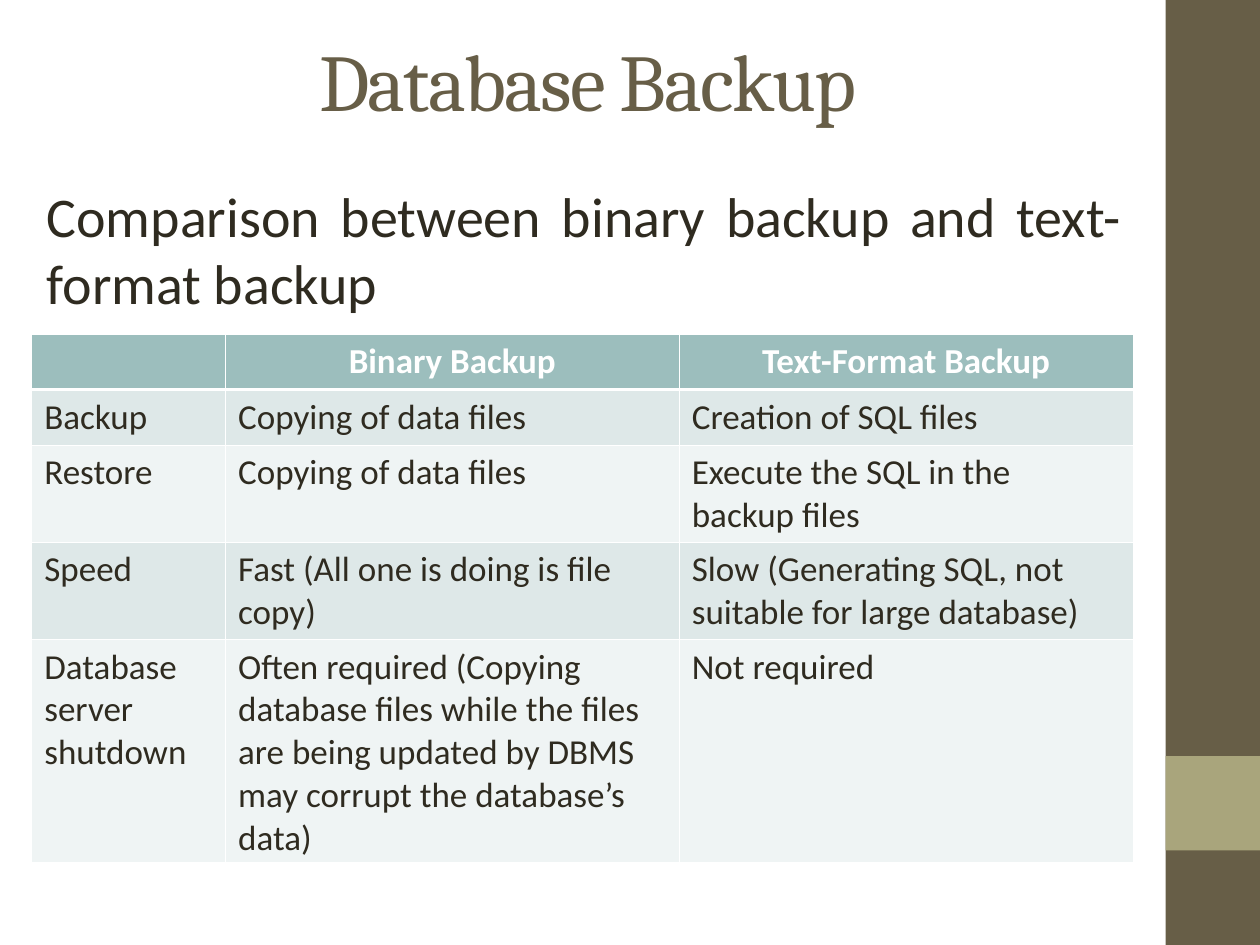
from dataclasses import dataclass

from lxml.etree import SubElement
from pptx import Presentation
from pptx.dml.color import RGBColor
from pptx.enum.shapes import MSO_SHAPE as SHAPE
from pptx.enum.text import MSO_ANCHOR as ANCHOR, PP_ALIGN as ALIGN
from pptx.oxml.ns import qn
from pptx.util import Cm, Pt


@dataclass(frozen=True)
class Theme:
    brown: str = "675E47"
    olive: str = "A9A57C"
    ink: str = "2F2B20"
    white: str = "FFFFFF"
    header: str = "9CBEBD"
    bands: tuple = ("DEE8E8", "EFF4F4")
    heading_font: str = "Cambria"
    body_font: str = "Calibri"
    title_size: int = 46
    lead_size: int = 32
    table_size: int = 20
    rule: float = 0.45
    header_rule: float = 1.47


T = Theme()
ROWS = [
    ("", "Binary Backup", "Text-Format Backup"),
    ("Backup", "Copying of data files", "Creation of SQL files"),
    ("Restore", "Copying of data files", "Execute the SQL in the backup files"),
    ("Speed", "Fast (All one is doing is file copy)",
     "Slow (Generating SQL, not suitable for large database)"),
    ("Database server shutdown",
     "Often required (Copying database files while the files are being "
     "updated by DBMS may corrupt the database’s data)",
     "Not required"),
]
COL_SHARES = (0.176, 0.412, 0.412)
ROW_HEIGHTS = (1.12, 1.12, 1.96, 1.96, 4.5)


def write(tf, text, *, size, color, font=T.body_font, bold=False,
          align=ALIGN.LEFT, spacing=None):
    tf.word_wrap = True
    p = tf.paragraphs[0]
    p.alignment = align
    r = p.add_run()
    r.text = text
    r.font.name, r.font.size, r.font.bold = font, Pt(size), bold
    r.font.color.rgb = RGBColor.from_string(color)
    if spacing is not None:
        r._r.get_or_add_rPr().set("spc", str(spacing))


def add_block(slide, x, y, w, h, color):
    sp = slide.shapes.add_shape(SHAPE.RECTANGLE, Cm(x), Cm(y), Cm(w), Cm(h))
    sp.shadow.inherit = False
    sp.fill.solid()
    sp.fill.fore_color.rgb = RGBColor.from_string(color)
    sp.line.fill.background()


def add_sidebar(slide, x, y, w, h):
    add_block(slide, x, y, w, h, T.brown)
    add_block(slide, x, y + 0.8 * h, w, h / 10, T.olive)


def add_title(slide, x, y, w, h):
    sp = slide.shapes.title
    sp.left, sp.top, sp.width, sp.height = Cm(x), Cm(y), Cm(w), Cm(h)
    sp.text_frame.vertical_anchor = ANCHOR.MIDDLE
    write(sp.text_frame, "Database Backup", size=T.title_size, color=T.brown,
          font=T.heading_font, align=ALIGN.CENTER, spacing=-100)


def add_lead(slide, x, y, w, h):
    sp = slide.shapes.add_textbox(Cm(x), Cm(y), Cm(w), Cm(h))
    write(sp.text_frame, "Comparison between binary backup and text-format backup",
          size=T.lead_size, color=T.ink, align=ALIGN.JUSTIFY)


def set_borders(cell, **widths):
    tcPr = cell._tc.get_or_add_tcPr()
    for side in "LRTB":
        ln = SubElement(tcPr, qn(f"a:ln{side}"), w=str(Pt(widths.get(side, T.rule))))
        fill = SubElement(ln, qn("a:solidFill"))
        SubElement(fill, qn("a:srgbClr"), val=T.white)


def add_comparison(slide, x, y, w, h):
    table = slide.shapes.add_table(len(ROWS), len(COL_SHARES),
                                   Cm(x), Cm(y), Cm(w), Cm(h)).table
    for col, share in zip(table.columns, COL_SHARES):
        col.width = Cm(w * share)
    for i, (texts, height) in enumerate(zip(ROWS, ROW_HEIGHTS)):
        table.rows[i].height = Cm(height * h / sum(ROW_HEIGHTS))
        head = i == 0
        # The rule under the header is heavier than the others
        heavy = {0: {"B": T.header_rule}, 1: {"T": T.header_rule}}.get(i, {})
        for j, text in enumerate(texts):
            cell = table.cell(i, j)
            set_borders(cell, **heavy)
            cell.fill.solid()
            cell.fill.fore_color.rgb = RGBColor.from_string(
                T.header if head else T.bands[(i - 1) % 2])
            if text:
                write(cell.text_frame, text, size=T.table_size, bold=head,
                      color=T.white if head else T.ink,
                      align=ALIGN.CENTER if head else ALIGN.LEFT)


def main():
    prs = Presentation()
    prs.slide_width, prs.slide_height = Cm(25.4), Cm(19.05)
    slide = prs.slides.add_slide(prs.slide_layouts[5])  # Title Only
    add_sidebar(slide, 23.5, 0, 1.9, 19.05)
    add_title(slide, 1.27, 0, 21.16, 3.18)
    add_lead(slide, 0.69, 3.53, 22.17, 3)
    add_comparison(slide, 0.64, 6.73, 22.2, 10.66)
    prs.save("out.pptx")


if __name__ == "__main__":
    main()
